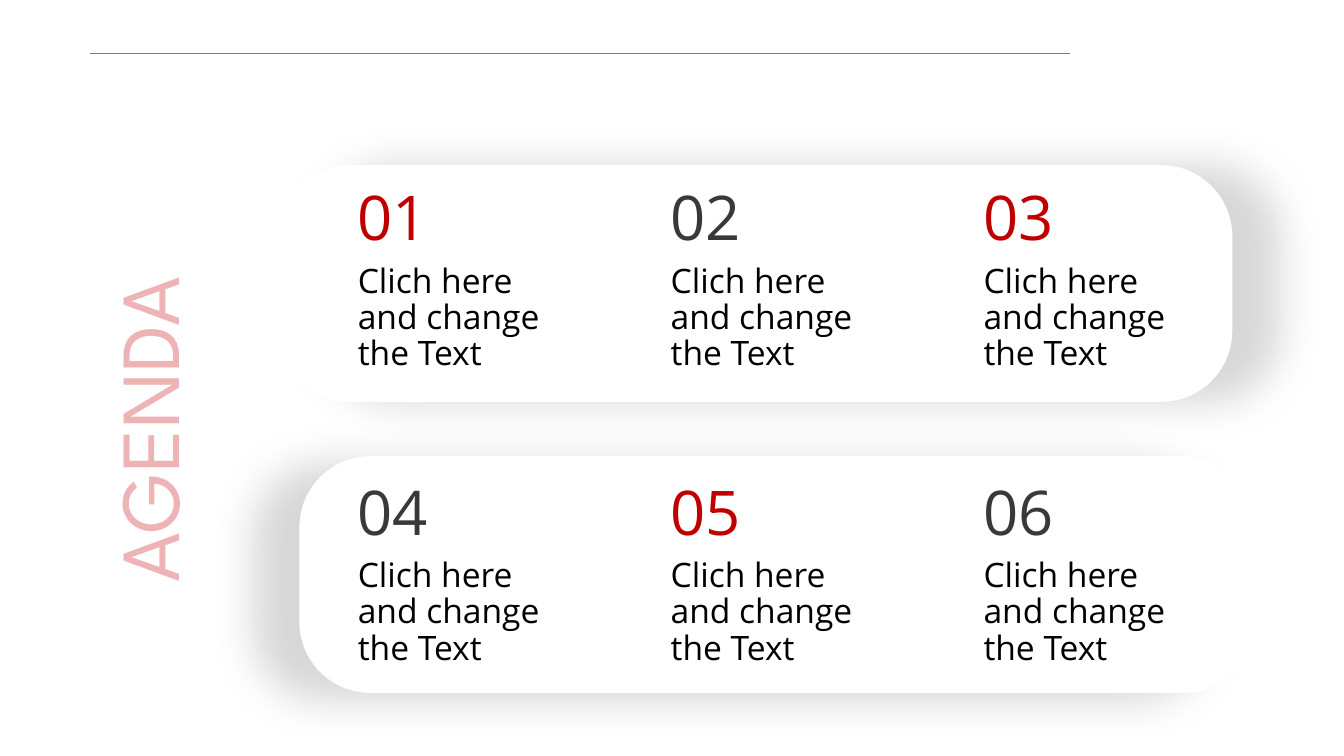
from lxml.etree import SubElement
from pptx import Presentation
from pptx.dml.color import RGBColor
from pptx.enum.shapes import MSO_CONNECTOR, MSO_SHAPE
from pptx.enum.text import MSO_ANCHOR, MSO_AUTO_SIZE, PP_ALIGN
from pptx.oxml.ns import qn
from pptx.util import Pt

COLORS = {
    "white": "FFFFFF",
    "rule": "7F7F7F",
    "shadow": "757070",
    "title": "EEB3B5",
    "red": "C00000",
    "dark": "3A3838",
    "black": "000000",
}
NUMBER_COLORS = ["red", "dark", "red", "dark", "red", "dark"]
COLUMNS = 3
LEFT, TOP = 186.5, 97.9
COLUMN_STEP, ROW_STEP = 167.6, 157.7


def color(name):
    return RGBColor.from_string(COLORS[name])


class SlideBuilder:
    frame_format = {
        "margin_left": Pt(5.2), "margin_right": Pt(5.2),
        "margin_top": Pt(2.6), "margin_bottom": Pt(2.6),
        "word_wrap": True, "vertical_anchor": MSO_ANCHOR.TOP,
    }

    def __init__(self, slide):
        self.slide = slide

    def line(self, x1, y1, x2, y2):
        connector = self.slide.shapes.add_connector(
            MSO_CONNECTOR.STRAIGHT, Pt(x1), Pt(y1), Pt(x2), Pt(y2))
        connector.line.color.rgb = color("rule")
        connector.line.width = Pt(0.75)
        SubElement(connector._element.spPr, qn("a:effectLst"))

    def card(self, left, top, width, height, shadow_angle):
        shape = self.slide.shapes.add_shape(
            MSO_SHAPE.ROUNDED_RECTANGLE, Pt(left), Pt(top), Pt(width), Pt(height))
        shape.adjustments[0] = 0.3
        shape.fill.solid()
        shape.fill.fore_color.rgb = color("white")
        shape.line.fill.background()
        shape.shadow.inherit = False
        effects = shape._element.spPr.find(qn("a:effectLst"))
        shadow = SubElement(
            effects, qn("a:outerShdw"), blurRad=str(Pt(22)), dist=str(Pt(25)),
            dir=str(shadow_angle * 60000), algn="ctr", rotWithShape="0")
        shade = SubElement(shadow, qn("a:srgbClr"), val=COLORS["shadow"])
        SubElement(shade, qn("a:alpha"), val="27000")

    def text(self, text, left, top, width, height, size, color_name,
             font="Open Sans", align=PP_ALIGN.LEFT, rotation=0,
             auto_size=MSO_AUTO_SIZE.NONE):
        shape = self.slide.shapes.add_textbox(Pt(left), Pt(top), Pt(width), Pt(height))
        shape.rotation = rotation
        frame = shape.text_frame
        for name, value in {**self.frame_format, "auto_size": auto_size}.items():
            setattr(frame, name, value)
        paragraph = frame.paragraphs[0]
        paragraph.text = text
        paragraph.alignment = align
        paragraph.line_spacing = 0.9
        run_font = paragraph.runs[0].font
        for name, value in {"name": font, "size": Pt(size)}.items():
            setattr(run_font, name, value)
        run_font.color.rgb = color(color_name)


def main():
    presentation = Presentation()
    presentation.slide_width, presentation.slide_height = Pt(720), Pt(405)
    slide = presentation.slides.add_slide(presentation.slide_layouts[6])
    builder = SlideBuilder(slide)

    # Top rule and the two cards
    builder.line(48.3, 28.6, 573.3, 28.6)
    builder.card(160.4, 244.4, 511.2, 126.8, shadow_angle=171)
    builder.card(149, 88.5, 511.2, 126.8, shadow_angle=0)

    # Vertical title
    builder.text("AGENDA", -59.8, 203, 283, 54, 45, "title",
                 font="League Spartan", align=PP_ALIGN.CENTER, rotation=270)

    # Agenda items in a grid
    for index, number_color in enumerate(NUMBER_COLORS):
        row, column = divmod(index, COLUMNS)
        left = LEFT + column * COLUMN_STEP
        top = TOP + row * ROW_STEP
        builder.text(f"{index + 1:02d}", left, top, 62.6, 41.8, 33, number_color,
                     auto_size=MSO_AUTO_SIZE.SHAPE_TO_FIT_TEXT)
        builder.text("Clich here and change the Text", left, top + 41, 123, 85,
                     18, "black")

    presentation.save("out.pptx")


if __name__ == "__main__":
    main()
